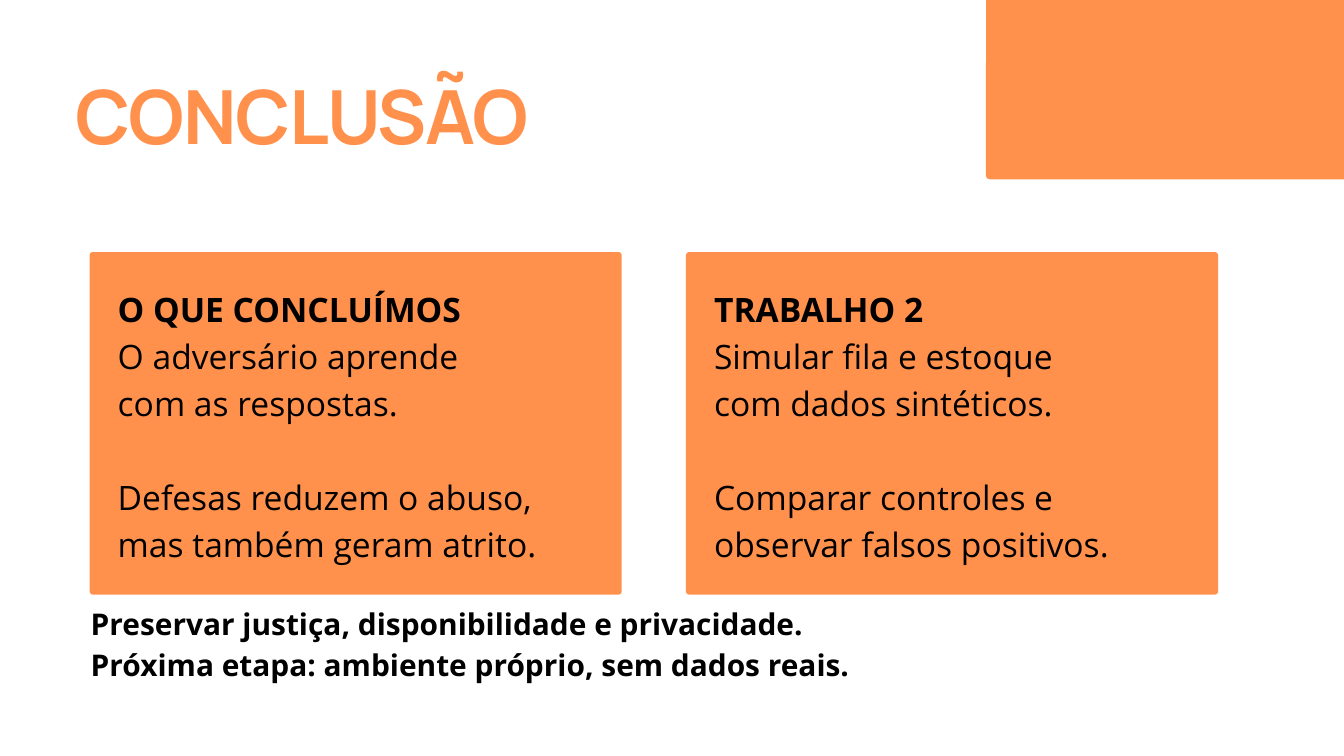
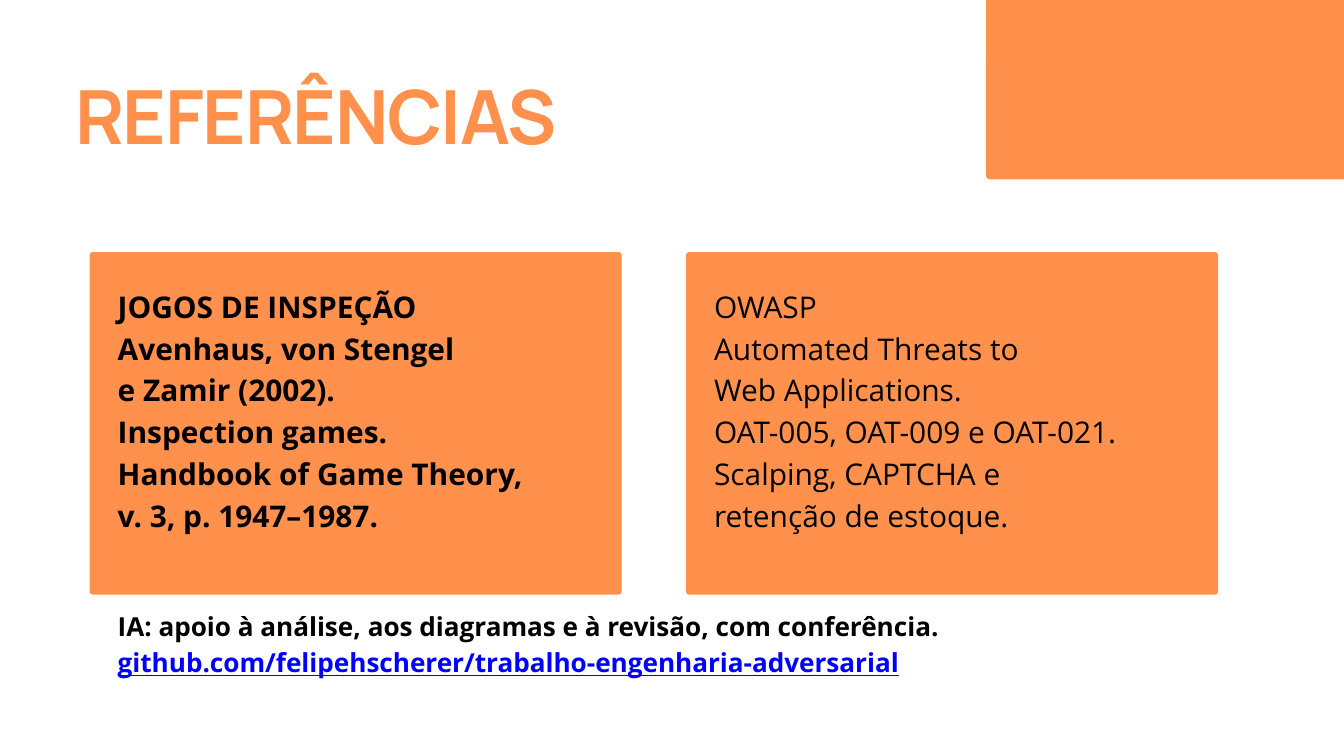
import lxml.etree
import pptx
import pptx.dml.color
import pptx.enum.shapes
import pptx.enum.text
import pptx.oxml.ns
import pptx.util

Cm, Pt = pptx.util.Cm, pptx.util.Pt

# Content: each line is (text, bold); GAP leaves one blank line before the next
GAP = None
SLIDES = [
    {
        "title": "CONCLUSÃO",
        "size": 36,
        "text_height": 10.57,
        "cards": [
            [("O QUE CONCLUÍMOS", True), ("O adversário aprende", False),
             ("com as respostas.", False), GAP,
             ("Defesas reduzem o abuso,", False),
             ("mas também geram atrito.", False)],
            [("TRABALHO 2", True), ("Simular fila e estoque", False),
             ("com dados sintéticos.", False), GAP,
             ("Comparar controles e", False),
             ("observar falsos positivos.", False)],
        ],
        "note": {
            "box": (3.43, 22.66, 44.98, 3.05),
            "size": 32,
            "lines": [("Preservar justiça, disponibilidade e privacidade.", True),
                      ("Próxima etapa: ambiente próprio, sem dados reais.", True)],
        },
    },
    {
        "title": "REFERÊNCIAS",
        "size": 32,
        "text_height": 9.3,
        "cards": [
            [("JOGOS DE INSPEÇÃO", True), ("Avenhaus, von Stengel", True),
             ("e Zamir (2002).", True), ("Inspection games.", True),
             ("Handbook of Game Theory,", True), ("v. 3, p. 1947–1987.", True)],
            [("OWASP", False), ("Automated Threats to", False),
             ("Web Applications.", False), ("OAT-005, OAT-009 e OAT-021.", False),
             ("Scalping, CAPTCHA e", False), ("retenção de estoque.", False)],
        ],
        "note": {
            "box": (4.45, 22.86, 44.98, 2.72),
            "size": 28,
            "lines": [("IA: apoio à análise, aos diagramas e à revisão, com conferência.", True),
                      ("github.com/felipehscherer/trabalho-engenharia-adversarial", True)],
            "address": 1,
        },
    },
]

# Shared style, lengths in cm
COLORS = {"orange": "FF914D", "text": "000000", "address": "0000FF"}
TITLE_FONT, BODY_FONT = "Manrope", "Open Sans"
TITLE_BOX = (2.84, 3.4, 36.53, 2.82)
CORNER_BAND = (37.27, -3.1, 15.93, 9.88)
CARD_LEFT, CARD_TOP, CARD_W, CARD_H = 3.39, 9.53, 20.11, 12.95
CARD_PITCH = 22.54
INSET_X, INSET_Y = 1.06, 1.15
LEADING = 1.4


def rgb(name):
    return pptx.dml.color.RGBColor.from_string(COLORS[name])


def place(sp, box):
    sp.left, sp.top, sp.width, sp.height = (Cm(v) for v in box)


def panel(s, box, radius):
    """Orange rounded panel behind the text."""
    sp = s.shapes.add_shape(pptx.enum.shapes.MSO_SHAPE.ROUNDED_RECTANGLE,
                            *(Cm(v) for v in box))
    sp.adjustments[0] = radius / min(box[2:])
    sp.shadow.inherit = False
    sp.fill.solid()
    sp.fill.fore_color.rgb = rgb("orange")
    sp.line.fill.background()
    s.shapes._spTree.insert(2, sp._element)


def add_run(p, text, font, size, bold, color):
    r = p.add_run()
    r.text = text
    r.font.name, r.font.size, r.font.bold = font, Pt(size), bold
    r.font.color.rgb = rgb(color)
    return r


def prepare(tf):
    tf.word_wrap = True
    tf.auto_size = pptx.enum.text.MSO_AUTO_SIZE.NONE
    tf.vertical_anchor = pptx.enum.text.MSO_ANCHOR.TOP
    tf.margin_left = tf.margin_top = tf.margin_right = tf.margin_bottom = 0


def write_title(sp, text):
    place(sp, TITLE_BOX)
    tf = sp.text_frame
    prepare(tf)
    p = tf.paragraphs[0]
    p.alignment = pptx.enum.text.PP_ALIGN.LEFT
    p.line_spacing = Pt(74.4)
    r = add_run(p, text, TITLE_FONT, 80, True, "orange")
    r._r.get_or_add_rPr().set("spc", "-160")


def write_lines(sp, box, lines, size, address=None):
    place(sp, box)
    tf = sp.text_frame
    prepare(tf)
    p, before = None, 0
    for i, line in enumerate(lines):
        if line is GAP:
            before = size * LEADING
            continue
        p = tf.add_paragraph() if p is not None else tf.paragraphs[0]
        pPr = p._p.get_or_add_pPr()
        pPr.set("marL", "0")
        pPr.set("indent", "0")
        lxml.etree.SubElement(pPr, pptx.oxml.ns.qn("a:buNone"))
        p.line_spacing = Pt(size * LEADING)
        p.space_before = Pt(before)
        before = 0
        text, bold = line
        r = add_run(p, text, BODY_FONT, size, bold,
                    "address" if i == address else "text")
        if i == address:
            r.font.underline = True


def build_slide(prs, data):
    s = prs.slides.add_slide(prs.slide_layouts.get_by_name("Two Content"))
    write_title(s.shapes.title, data["title"])

    # Cards with their text
    for i, lines in enumerate(data["cards"]):
        left = CARD_LEFT + i * CARD_PITCH
        panel(s, (left, CARD_TOP, CARD_W, CARD_H), 0.12)
        box = (left + INSET_X, CARD_TOP + INSET_Y,
               CARD_W - 2 * INSET_X, data["text_height"])
        write_lines(s.placeholders[i + 1], box, lines, data["size"])

    # Corner band and closing note
    panel(s, CORNER_BAND, 0.15)
    note = data["note"]
    sp = s.shapes.add_textbox(0, 0, 0, 0)
    write_lines(sp, note["box"], note["lines"], note["size"], note.get("address"))


def main():
    prs = pptx.Presentation()
    prs.slide_width, prs.slide_height = Cm(50.8), Cm(28.58)
    for data in SLIDES:
        build_slide(prs, data)
    prs.save("out.pptx")


if __name__ == "__main__":
    main()
